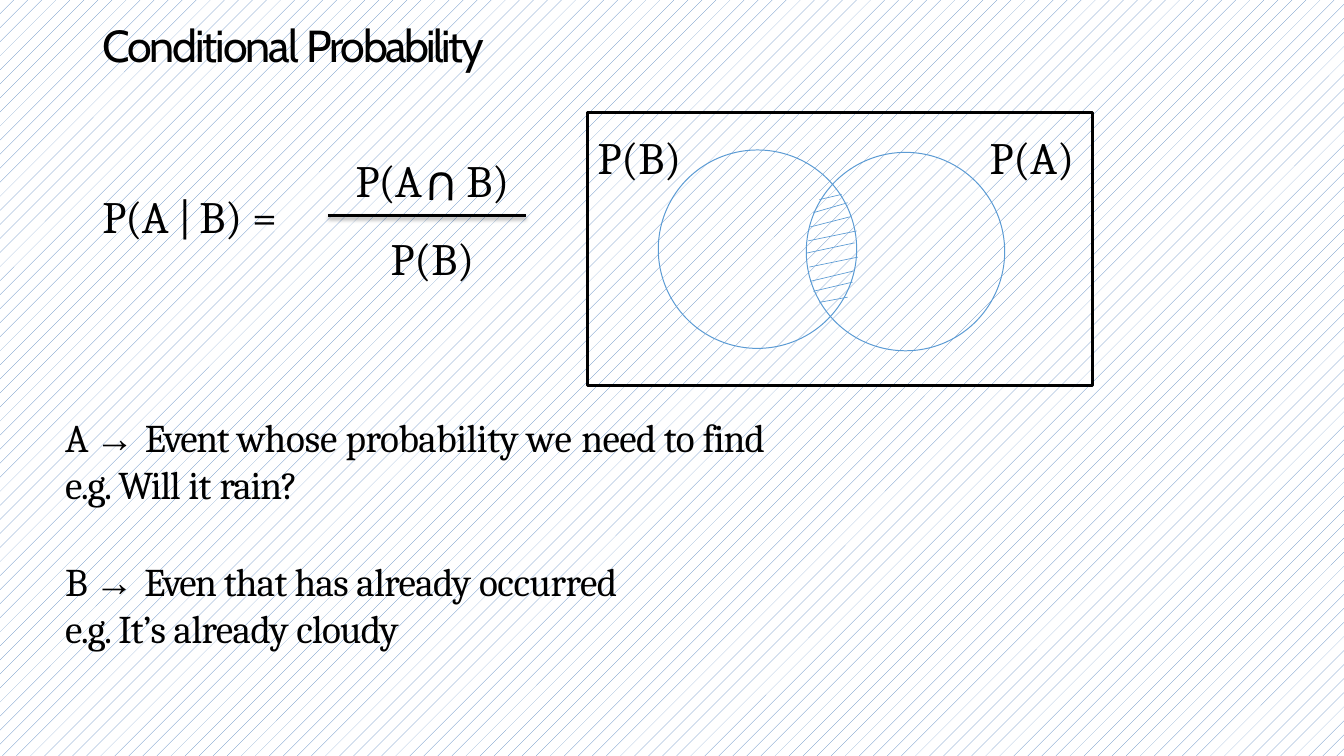
from lxml import etree
from pptx import Presentation
from pptx.dml.color import RGBColor
from pptx.enum.dml import MSO_PATTERN
from pptx.enum.shapes import MSO_CONNECTOR, MSO_SHAPE
from pptx.enum.text import MSO_ANCHOR, PP_ALIGN
from pptx.oxml.ns import qn
from pptx.util import Cm, Pt

# Content: a paragraph is a list of (text, letter spacing in points)
TITLE = [("Conditional ", -1.5), ("Probability", -1.8)]
FORMULA = [("P(A ", -0.5), ("| ", -1.9), ("B) ", -0.1), ("=", 3.4)]
NUMERATOR = [("P(A\t", -0.6), ("B)", -0.1)]
DENOMINATOR = [("P(B)", -0.1)]
CAP = [("U", -0.1)]  # turned over to read as an intersection sign
VENN_LABELS = [("P(B)\tP(A)", -0.1)]
ARROW = ("→ ", -0.1)
EVENT_A = [("A ", -1.4), ARROW, ("Event ", -0.9), ("whose ", -0.1),
           ("probability ", -0.3), ("we ", 0.3), ("need to ", -0.4), ("find", -0.7)]
EXAMPLE_A = [("e.g. ", -1), ("Will ", -0.8), ("it ", -0.3), ("rain?", -0.8)]
EVENT_B = [("B ", -1.2), ARROW, ("Even ", -1.1), ("that has ", -0.5),
           ("already ", -0.4), ("occurred", -0.3)]
EXAMPLE_B = [("e.g. ", -1), ("It’s ", -0.6), ("already ", -0.4), ("cloudy", -0.5)]

# Venn diagram, in cm
VENN_BOX = (14.81, 2.84, 12.73, 6.88)
DIAMETER = 5
CIRCLES = [(16.59, 3.78), (20.32, 3.84)]
HATCHES = [  # x1, y1, x2, y2
    (20.5, 5.36, 21.36, 5.11), (20.42, 5.72, 21.44, 5.46),
    (20.37, 6.07, 21.59, 5.82), (20.32, 6.38, 21.54, 6.12),
    (20.4, 6.73, 21.62, 6.48), (20.42, 7.09, 21.51, 6.83),
    (20.5, 7.34, 21.49, 7.11), (20.65, 7.62, 21.36, 7.49),
    (20.65, 5.03, 21.21, 4.9)]
FRACTION_BAR = (8.26, 5.44, 13.25, 5.44)
BLACK, BLUE = "000000", "5B9BD4"


def rgb(value):
    return RGBColor.from_string(value)


def outline(sp, color, width):
    sp.shadow.inherit = False
    sp.fill.background()
    sp.line.color.rgb = rgb(color)
    sp.line.width = Pt(width)
    return sp


def add_outline(kind, box, color, width):
    return outline(s.shapes.add_shape(kind, *map(Cm, box)), color, width)


def write(sp, paragraphs, size, font="Cambria", top=0.03, left=0.04,
          before=(1,), align=PP_ALIGN.LEFT, tab=None, spacing=None):
    tf = sp.text_frame
    tf.word_wrap = True
    tf.vertical_anchor = MSO_ANCHOR.TOP
    tf.margin_left, tf.margin_top = Cm(left), Cm(top)
    tf.margin_right = tf.margin_bottom = 0
    for i, (runs, gap) in enumerate(zip(paragraphs, before)):
        p = tf.add_paragraph() if i else tf.paragraphs[0]
        p.alignment = align
        p.space_before = Pt(gap)
        if spacing:
            p.line_spacing = Pt(spacing)
        if tab:
            tabs = etree.SubElement(p._p.get_or_add_pPr(), qn("a:tabLst"))
            etree.SubElement(tabs, qn("a:tab"), pos=str(Cm(tab)), algn="l")
        p.font.name, p.font.size = font, Pt(size)
        p.font.color.rgb = rgb(BLACK)
        for text, tracking in runs:
            r = p.add_run()
            r.text = text
            r.font._element.set("spc", str(round(tracking * 100)))
            if text == ARROW[0]:
                r.font.name = "Arial"


def add_text(box, paragraphs, size, **options):
    sp = s.shapes.add_textbox(*map(Cm, box))
    write(sp, paragraphs, size, **options)
    return sp


prs = Presentation()
prs.slide_width, prs.slide_height = Cm(33.87), Cm(19.05)
s = prs.slides.add_slide(prs.slide_layouts[6])

# Background
fill = s.background.fill
fill.patterned()
fill.pattern = MSO_PATTERN.PERCENT_5
fill.fore_color.rgb, fill.back_color.rgb = rgb("4F81BD"), rgb("FFFFFF")

# Title, formula and explanation
add_text((2.54, 0.41, 10.39, 1.42), [TITLE], 32, font="Cabin")
add_text((2.54, 4.72, 4.98, 1.42), [FORMULA], 32)
add_text((1.6, 10.39, 19, 5.99), [EVENT_A, EXAMPLE_A, EVENT_B, EXAMPLE_B], 28,
         before=(1, 0, 35.5, 0))

# Fraction, with the denominator drawn slightly to the left
cap = add_text((10.29, 4.11, 1.19, 0.99), [CAP], 28, font="Cabin", top=0, left=0,
               before=(0,), spacing=26.8)
cap.rotation = 181
fraction = add_text((8.88, 3.2, 4.04, 3.99), [NUMERATOR, DENOMINATOR], 32, top=0.64,
                    left=0, before=(18.2, 17.3), align=PP_ALIGN.CENTER, tab=2.79)
denominator = fraction.text_frame.paragraphs[1]
denominator._p.get_or_add_pPr().set("indent", str(Cm(-0.28)))

# Venn diagram
for x, y in CIRCLES:
    add_outline(MSO_SHAPE.OVAL, (x, y, DIAMETER, DIAMETER), BLUE, 0.72)
hatching = s.shapes.build_freeform(Cm(HATCHES[0][0]), Cm(HATCHES[0][1]))
for x1, y1, x2, y2 in HATCHES:
    hatching.move_to(Cm(x1), Cm(y1))
    hatching.add_line_segments([(Cm(x2), Cm(y2))], close=False)
outline(hatching.convert_to_shape(), BLUE, 0.48)
venn = add_outline(MSO_SHAPE.RECTANGLE, VENN_BOX, BLACK, 2.28)
write(venn, [VENN_LABELS], 32, top=0.43, left=0.25, before=(11.8,), tab=9.88)

# Fraction bar with a soft shadow
bar = s.shapes.add_connector(MSO_CONNECTOR.STRAIGHT, *map(Cm, FRACTION_BAR))
bar.line.color.rgb = rgb(BLACK)
bar.line.width = Pt(2)
effects = etree.SubElement(bar._element.spPr, qn("a:effectLst"))
shadow = etree.SubElement(effects, qn("a:outerShdw"), blurRad=str(Pt(3.1)),
                          dist=str(Pt(1.6)), dir="5400000", rotWithShape="0")
shade = etree.SubElement(shadow, qn("a:srgbClr"), val=BLACK)
etree.SubElement(shade, qn("a:alpha"), val="38000")

prs.save("out.pptx")
